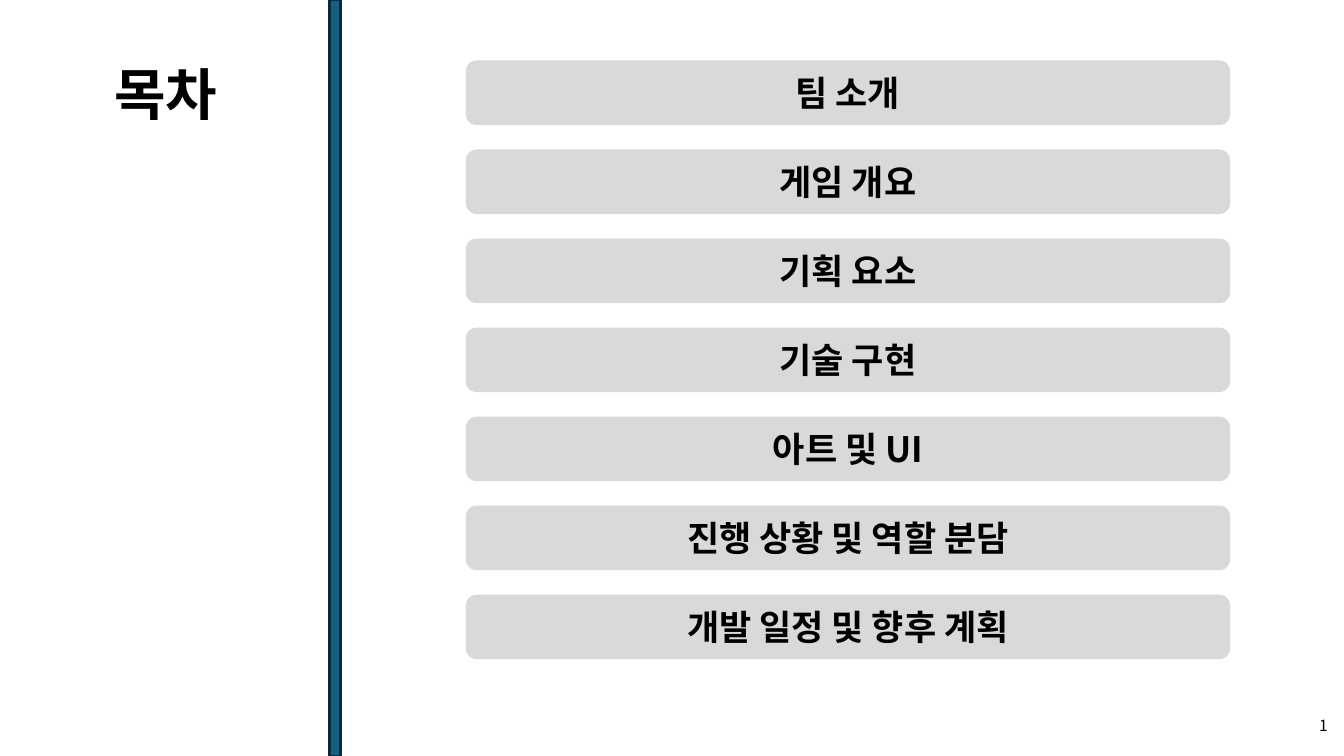
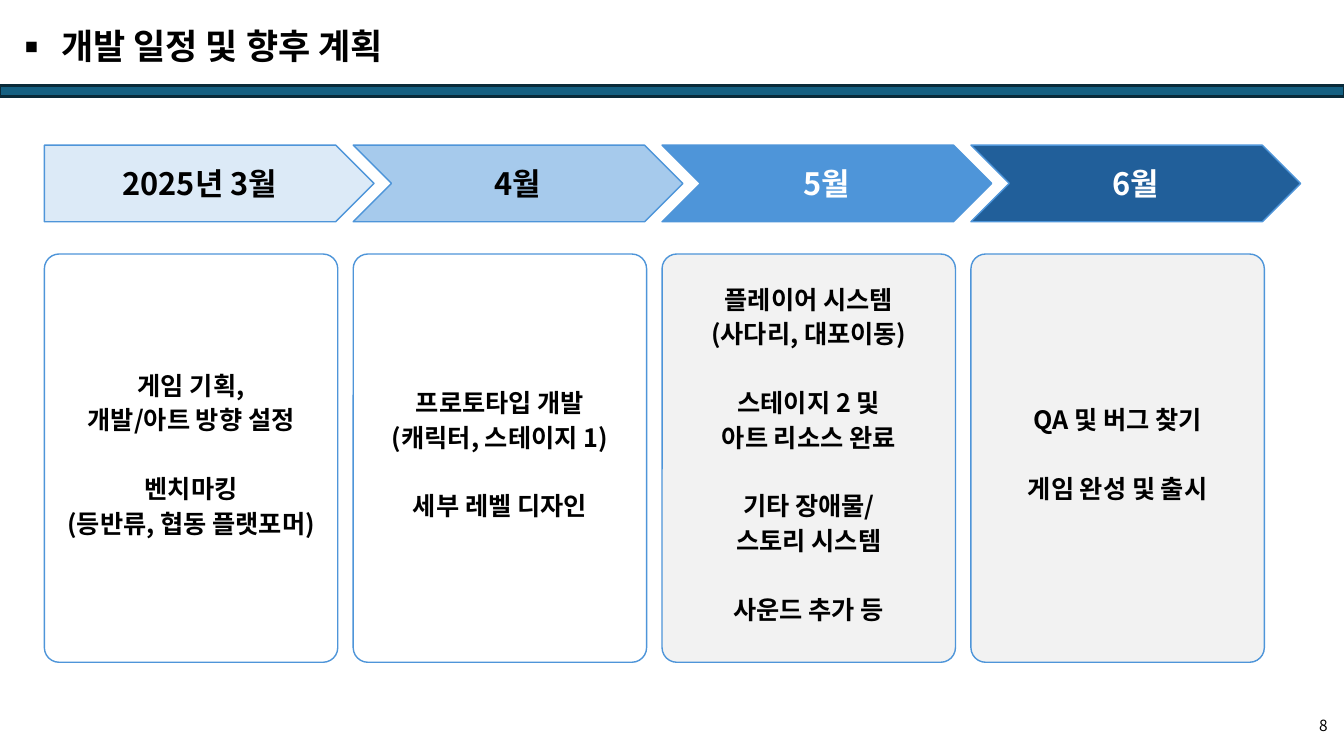
from lxml.etree import SubElement
from pptx import Presentation
from pptx.dml.color import RGBColor
from pptx.enum.shapes import MSO_SHAPE as Shape
from pptx.enum.text import MSO_ANCHOR as Anchor, MSO_AUTO_SIZE as AutoSize, PP_ALIGN as Align
from pptx.oxml.ns import qn
from pptx.util import Inches, Pt

WIDTH, HEIGHT = 13.33, 7.5
FONT = "Noto Sans CJK KR"
COLORS = {
    "ink": "000000", "white": "FFFFFF", "band": "156082", "band_edge": "092A39",
    "agenda": "D9D9D9", "edge": "4E95D9", "upcoming": "F2F2F2",
    "march": "DCEAF7", "april": "A6CAEC", "may": "4E95D9", "june": "215F9A",
}
BAND = 0.11
INSETS = (0.1, 0.05, 0.1, 0.05)

AGENDA_TITLE = "목차"
AGENDA = ["팀 소개", "게임 개요", "기획 요소", "기술 구현", "아트 및 UI",
          "진행 상황 및 역할 분담", "개발 일정 및 향후 계획"]

SCHEDULE_TITLE = AGENDA[-1]
SCHEDULE = [
    ("2025년 3월", "march", "ink", None,
     ["게임 기획,\v개발/아트 방향 설정", "벤치마킹\v(등반류, 협동 플랫포머)"]),
    ("4월", "april", "ink", None,
     ["프로토타입 개발\v(캐릭터, 스테이지 1)", "세부 레벨 디자인"]),
    ("5월", "may", "white", "upcoming",
     ["플레이어 시스템\v(사다리, 대포이동)", "스테이지 2 및\v아트 리소스 완료",
      "기타 장애물/\v스토리 시스템", "사운드 추가 등"]),
    ("6월", "june", "white", "upcoming",
     ["QA 및 버그 찾기", "게임 완성 및 출시"]),
]


def rgb(name):
    return RGBColor.from_string(COLORS[name])


def write(shape, paragraphs, size, color="ink", bold=True, align=Align.CENTER,
          insets=INSETS, line=None, bullet=None):
    """Fill a shape with uniformly formatted paragraphs."""
    frame = shape.text_frame
    frame.word_wrap = True
    frame.auto_size = AutoSize.NONE
    frame.vertical_anchor = Anchor.MIDDLE
    (frame.margin_left, frame.margin_top,
     frame.margin_right, frame.margin_bottom) = map(Inches, insets)
    for index, text in enumerate(paragraphs):
        paragraph = frame.add_paragraph() if index else frame.paragraphs[0]
        paragraph.text = text
        paragraph.alignment = align
        if line:
            paragraph.line_spacing = Pt(line)
            paragraph.space_before = Pt(line if index else 0)
        if bullet:
            properties = paragraph._p.get_or_add_pPr()
            properties.set("marL", str(Inches(0.38)))
            properties.set("indent", str(Inches(-0.37)))
            SubElement(properties, qn("a:buSzPct"), val="120000")
            SubElement(properties, qn("a:buFont"), typeface="Arial")
            SubElement(properties, qn("a:buChar"), char=bullet)
        font = paragraph.font
        font.size, font.bold, font.name = Pt(size), bold, FONT
        font.color.rgb = rgb(color)
        SubElement(font._element, qn("a:ea"), typeface=FONT)


def add_block(slide, kind, box, fill=None, edge=None, edge_width=1):
    """Add a preset shape without shadow."""
    block = slide.shapes.add_shape(kind, *map(Inches, box))
    block.shadow.inherit = False
    if fill:
        block.fill.solid()
        block.fill.fore_color.rgb = rgb(fill)
    else:
        block.fill.background()
    if edge:
        block.line.color.rgb = rgb(edge)
        block.line.width = Pt(edge_width)
    else:
        block.line.fill.background()
    return block


def add_page(deck, title, title_box, band_box, number, **title_style):
    """Add a slide with its title, band and page number."""
    slide = deck.slides.add_slide(deck.slide_layouts[5])
    heading = slide.shapes.title
    heading.left, heading.top, heading.width, heading.height = map(Inches, title_box)
    write(heading, [title], **title_style)
    add_block(slide, Shape.RECTANGLE, band_box, "band", "band_edge", 2)
    page = slide.shapes.add_textbox(*map(Inches, (12.93, 7.06, 0.39, 0.28)))
    write(page, [number], 11, bold=False, insets=(0, 0, 0, 0))
    return slide


def build_agenda(deck):
    """Build the contents slide."""
    slide = add_page(deck, AGENDA_TITLE, (0.13, 0.41, 3.03, 1.03),
                     (3.27, 0, BAND, HEIGHT), "1", size=40)
    top, pitch = 0.6, 5.3 / (len(AGENDA) - 1)
    for row, topic in enumerate(AGENDA):
        box = (4.62, top + row * pitch, 7.58, 0.64)
        entry = add_block(slide, Shape.FLOWCHART_ALTERNATE_PROCESS, box, "agenda")
        write(entry, [topic], 25)


def build_schedule(deck):
    """Build the schedule slide."""
    slide = add_page(deck, SCHEDULE_TITLE, (0.15, 0.17, 9.96, 0.57),
                     (0, 0.85, WIDTH, BAND), "8", size=25, align=Align.LEFT,
                     insets=(0.08, 0, 0, 0), bullet="▪")
    left, pitch = 0.44, 9.19 / (len(SCHEDULE) - 1)
    for column, (month, fill, ink, card_fill, tasks) in enumerate(SCHEDULE):
        x = left + column * pitch
        kind = Shape.CHEVRON if column else Shape.PENTAGON
        arrow = add_block(slide, kind, (x, 1.44, 3.27, 0.76), fill, "edge")
        write(arrow, [month], 22, ink, insets=INSETS if column else (0, 0, 0, 0))
        card = add_block(slide, Shape.ROUNDED_RECTANGLE, (x, 2.52, 2.91, 4.05),
                         card_fill, "edge")
        card.adjustments[0] = 0.05
        write(card, tasks, 18, insets=(0, 0, 0, 0.12), line=24.6)


def main():
    """Build and save the deck."""
    deck = Presentation()
    deck.slide_width, deck.slide_height = Inches(WIDTH), Inches(HEIGHT)
    build_agenda(deck)
    build_schedule(deck)
    deck.save("out.pptx")


if __name__ == "__main__":
    main()
